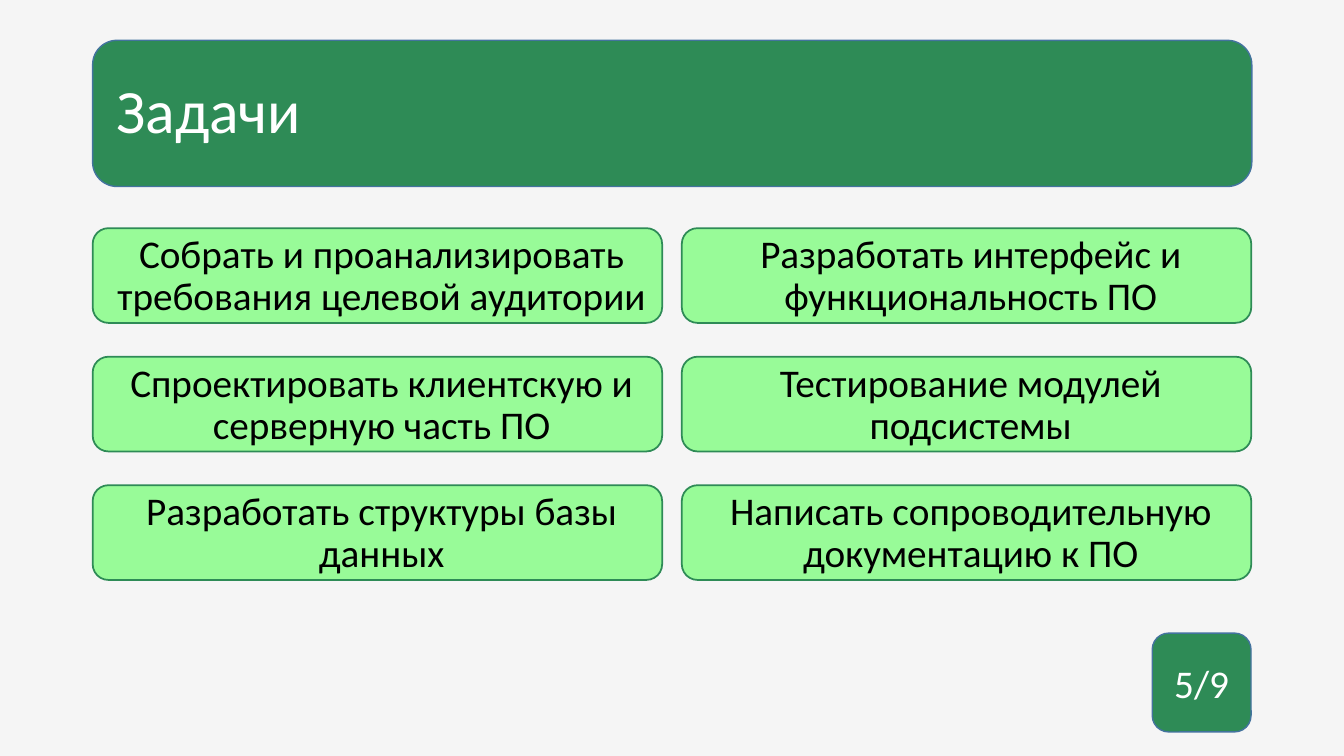
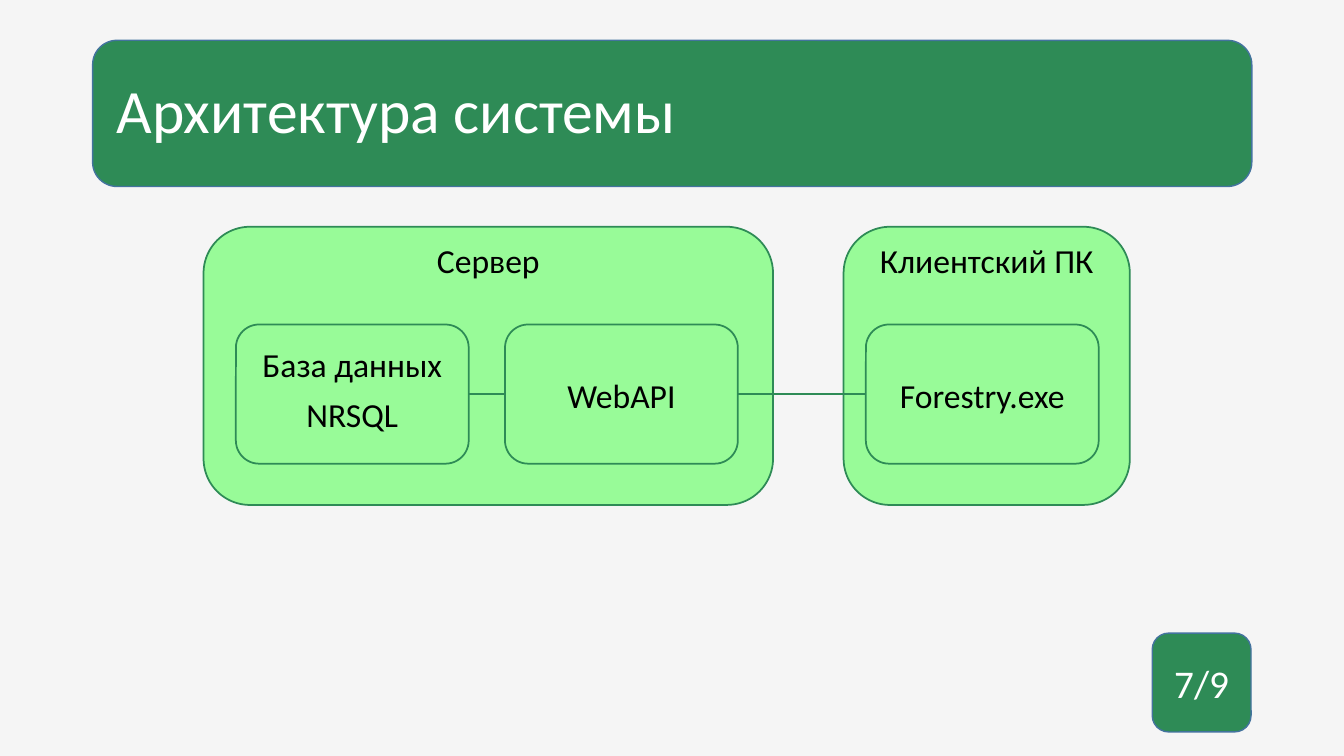
"""Builds two slides of a project defence: the task list and the system architecture."""
from lxml import etree
from pptx import Presentation
from pptx.dml.color import RGBColor
from pptx.enum.shapes import MSO_CONNECTOR, MSO_SHAPE
from pptx.enum.text import MSO_ANCHOR, MSO_AUTO_SIZE, PP_ALIGN
from pptx.oxml.ns import qn
from pptx.util import Pt

ROUNDED, STRAIGHT = MSO_SHAPE.ROUNDED_RECTANGLE, MSO_CONNECTOR.STRAIGHT
TOP, MIDDLE = MSO_ANCHOR.TOP, MSO_ANCHOR.MIDDLE
LEFT, CENTER = PP_ALIGN.LEFT, PP_ALIGN.CENTER
NO_FIT = MSO_AUTO_SIZE.NONE
LEFT_SIDE, RIGHT_SIDE = 1, 3

COLORS = {
    "page": "F5F5F5", "band": "2E8B56", "band_edge": "43739E",
    "card": "98FB98", "card_edge": "2E8B56", "dark": "000000", "light": "FFFFFF",
}
FONT = "Calibri"
TOTAL_PAGES = 9
TITLE_BOX = (66.2, 28.8, 828, 104.4)
BADGE_BOX = (823, 452.2, 70.6, 70.6)

TASKS = [
    ["Собрать и проанализировать требования целевой аудитории",
     "Разработать интерфейс и функциональность ПО"],
    ["Спроектировать клиентскую и серверную часть ПО",
     "Тестирование модулей подсистемы"],
    ["Разработать структуры базы данных",
     "Написать сопроводительную документацию к ПО"],
]
TASK_ORIGIN, TASK_STEP, TASK_SIZE = (66.2, 163), (420.8, 91.8), (406.8, 67.7)
TASK_INSETS = (13, 2, 7.2, 0)

HOSTS = [("Сервер", 145.4, 406.8), ("Клиентский ПК", 602.6, 204.5)]
HOST_TOP, HOST_HEIGHT = 162, 198.7
HOST_INSETS = (7.2, 0, 7.2, 3.6)
MODULES = [
    (["База данных", "NRSQL"], 168.5, 0),
    (["WebAPI"], 360.7, 8),
    (["Forestry.exe"], 618.5, 8),
]
MODULE_TOP, MODULE_SIZE = 231.8, (166.3, 99.4)


def color(name):
    """Return a palette colour."""
    return RGBColor.from_string(COLORS[name])


def write(shape, lines, size, ink="dark", align=CENTER, anchor=TOP, spacing=0.9,
          insets=(7.2, 3.6, 7.2, 3.6)):
    """Fill a shape with paragraphs of one style."""
    frame = shape.text_frame
    frame.word_wrap = True
    frame.auto_size = NO_FIT
    frame.vertical_anchor = anchor
    (frame.margin_left, frame.margin_top,
     frame.margin_right, frame.margin_bottom) = map(Pt, insets)
    for index, line in enumerate(lines):
        paragraph = frame.add_paragraph() if index else frame.paragraphs[0]
        paragraph.alignment = align
        paragraph.line_spacing = spacing
        paragraph.space_before = Pt(10 if index else 0)
        run = paragraph.add_run()
        run.text = line
        run.font.size, run.font.name = Pt(size), FONT
        run.font.color.rgb = color(ink)


def rounded(slide, box, fill="card", edge="card_edge", width=1.25):
    """Add a rounded panel."""
    panel = slide.shapes.add_shape(ROUNDED, *map(Pt, box))
    panel.shadow.inherit = False
    panel.fill.solid()
    panel.fill.fore_color.rgb = color(fill)
    panel.line.color.rgb = color(edge)
    panel.line.width = Pt(width)
    return panel


def place(slide, placeholder, box):
    """Move a placeholder to a box, in front of everything drawn so far."""
    placeholder.left, placeholder.top, placeholder.width, placeholder.height = map(Pt, box)
    slide.shapes._spTree.append(placeholder._element)
    return placeholder


def write_body(slide, box, lines, size, **style):
    """Put unbulleted text into the body placeholder."""
    body = place(slide, slide.placeholders[1], box)
    write(body, lines, size, **style)
    for paragraph in body.text_frame.paragraphs:
        properties = paragraph._p.get_or_add_pPr()
        properties.set("marL", "0")
        properties.set("indent", "0")
        etree.SubElement(properties, qn("a:buNone"))


def write_card(slide, panel, box, is_body, lines, size, **style):
    """Write on a panel, through the body placeholder for the leading one."""
    if is_body:
        write_body(slide, box, lines, size, **style)
    else:
        write(panel, lines, size, **style)


def new_slide(deck, title, page):
    """Add a slide with its title band and page badge."""
    slide = deck.slides.add_slide(deck.slide_layouts[1])
    rounded(slide, TITLE_BOX, "band", "band_edge", 1)
    heading = place(slide, slide.shapes.title, TITLE_BOX)
    write(heading, [title], 44, "light", LEFT, MIDDLE, insets=(17, 3.6, 7.2, 3.6))
    badge = rounded(slide, BADGE_BOX, "band", "band_edge", 1)
    write(badge, [f"{page}/{TOTAL_PAGES}"], 28, "light", anchor=MIDDLE, spacing=1)
    return slide


def link(slide, source, target):
    """Join two modules side to side."""
    line = slide.shapes.add_connector(STRAIGHT, 0, 0, 0, 0)
    line.begin_connect(source, RIGHT_SIDE)
    line.end_connect(target, LEFT_SIDE)
    line.line.color.rgb = color("card_edge")
    line.line.width = Pt(1.5)
    etree.SubElement(line._element.spPr, qn("a:effectLst"))


def build_tasks(deck):
    """Lay the tasks out in a grid."""
    slide = new_slide(deck, "Задачи", 5)
    for row, tasks in enumerate(TASKS):
        for column, task in enumerate(tasks):
            box = (TASK_ORIGIN[0] + column * TASK_STEP[0],
                   TASK_ORIGIN[1] + row * TASK_STEP[1], *TASK_SIZE)
            panel = rounded(slide, box)
            write_card(slide, panel, box, row == column == 0, [task], 28,
                       anchor=MIDDLE, insets=TASK_INSETS)


def build_architecture(deck):
    """Draw the hosts, their modules and the links."""
    slide = new_slide(deck, "Архитектура системы", 7)
    for name, left, width in HOSTS:
        host = rounded(slide, (left, HOST_TOP, width, HOST_HEIGHT))
        write(host, [name], 24, spacing=1, insets=HOST_INSETS)
    modules = []
    for index, (lines, left, top_inset) in enumerate(MODULES):
        box = (left, MODULE_TOP, *MODULE_SIZE)
        module = rounded(slide, box)
        write_card(slide, module, box, index == 0, lines, 24,
                   anchor=MIDDLE, insets=(7.2, top_inset, 7.2, 3.6))
        modules.append(module)
    for source, target in zip(modules, modules[1:]):
        link(slide, source, target)


def main():
    """Build and save the deck."""
    deck = Presentation()
    deck.slide_width, deck.slide_height = Pt(960), Pt(540)
    background = deck.slide_master.background.fill
    background.solid()
    background.fore_color.rgb = color("page")
    build_tasks(deck)
    build_architecture(deck)
    deck.save("out.pptx")


if __name__ == "__main__":
    main()
